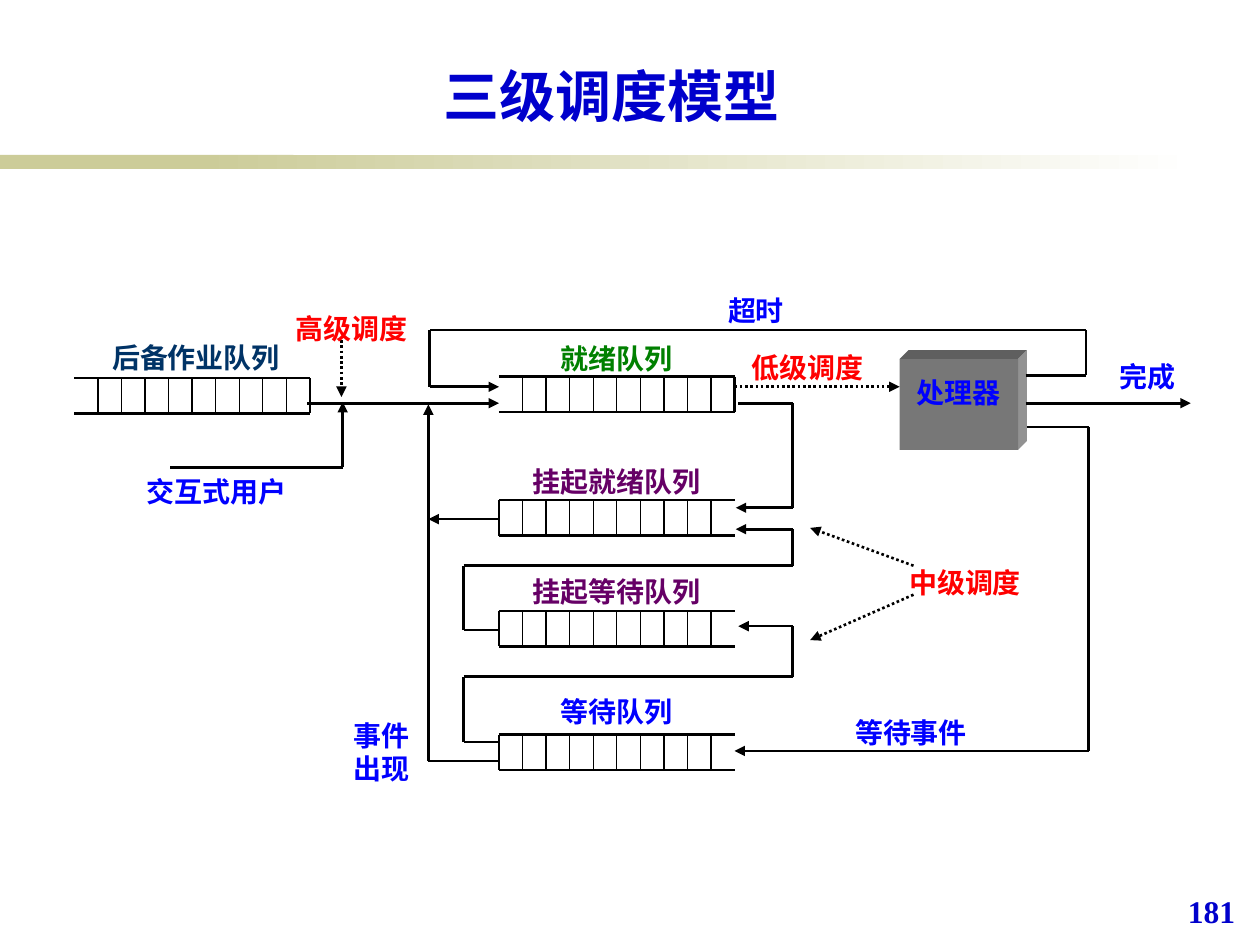
from pptx import Presentation
from pptx.dml.color import RGBColor
from pptx.enum.dml import MSO_LINE
from pptx.enum.shapes import MSO_CONNECTOR, MSO_SHAPE
from pptx.enum.text import MSO_ANCHOR, PP_ALIGN
from pptx.oxml.ns import qn
from pptx.util import Inches, Pt
from lxml import etree

RECT = MSO_SHAPE.RECTANGLE
STRAIGHT = MSO_CONNECTOR.STRAIGHT
DOTS = MSO_LINE.ROUND_DOT
CENTER = PP_ALIGN.CENTER
LEFT = PP_ALIGN.LEFT
TOP = MSO_ANCHOR.TOP
BOTTOM = MSO_ANCHOR.BOTTOM

BLACK = RGBColor(0, 0, 0)
WHITE = RGBColor(255, 255, 255)
KHAKI = RGBColor(0xCC, 0xCC, 0x99)
NAVY = RGBColor(0, 0, 0xCC)
BLUE = RGBColor(0, 0, 0xFF)
TEAL = RGBColor(0, 0x33, 0x66)
RED = RGBColor(0xFF, 0, 0)
GREEN = RGBColor(0, 0x80, 0)
PURPLE = RGBColor(0x66, 0, 0x66)
GRAY = RGBColor(0x77, 0x77, 0x77)
DARK = RGBColor(0x5F, 0x5F, 0x5F)
LIGHT = RGBColor(0x92, 0x92, 0x92)


class Sketch:
    font = "Noto Sans CJK SC"
    size = 16
    thick = 1.5
    thin = 0.75

    def __init__(self, slide):
        self.slide = slide
        self.shapes = slide.shapes

    def letter(self, frame, text, color, size=None, font=None, align=CENTER):
        frame.text = text
        for para in frame.paragraphs:
            para.alignment = align
            style = para.font
            style.name = font or self.font
            style.size = Pt(size or self.size)
            style.bold = True
            style.color.rgb = color
            for run in para.runs:
                east = etree.SubElement(run.font._element, qn("a:ea"))
                east.set("typeface", style.name)

    def title(self, text, x, y, w, h):
        box = self.shapes.title
        box.left, box.top, box.width, box.height = map(Inches, (x, y, w, h))
        box.text_frame.vertical_anchor = BOTTOM
        self.letter(box.text_frame, text, NAVY, 32, "Noto Sans CJK JP")

    def label(self, text, x, y, w, h, color):
        box = self.shapes.add_textbox(*map(Inches, (x, y, w, h)))
        frame = box.text_frame
        frame.word_wrap = True
        frame.margin_left = frame.margin_right = 0
        frame.margin_top = frame.margin_bottom = 0
        self.letter(frame, text, color)

    def number(self, text, x, y, w, h):
        box = self.shapes.add_textbox(*map(Inches, (x, y, w, h)))
        self.letter(box.text_frame, text, NAVY, 18, "Times New Roman", LEFT)

    def plain(self, shape, color):
        shape.shadow.inherit = False
        shape.fill.solid()
        shape.fill.fore_color.rgb = color
        shape.line.fill.background()

    def rect(self, x, y, w, h, color):
        box = self.shapes.add_shape(RECT, *map(Inches, (x, y, w, h)))
        self.plain(box, color)
        return box

    def fade(self, x, y, w, h, start, end):
        fill = self.rect(x, y, w, h, start).fill
        fill.gradient()
        fill.gradient_angle = 0
        for stop, color in zip(fill.gradient_stops, (start, end)):
            stop.color.rgb = color

    def face(self, points, color):
        spots = [(Inches(x), Inches(y)) for x, y in points]
        form = self.shapes.build_freeform(*spots[0])
        form.add_line_segments(spots[1:])
        self.plain(form.convert_to_shape(), color)

    def block(self, text, x, y, w, h, deep):
        right, low = x + w, y + h
        back, high = right + deep, y - deep
        self.face([(x, y), (x + deep, high), (back, high), (right, y)], DARK)
        self.face([(right, y), (back, high), (back, low - deep),
                   (right, low)], LIGHT)
        frame = self.rect(x, y, w, h, GRAY).text_frame
        frame.margin_left = frame.margin_right = 0
        frame.margin_top = Inches(0.13)
        frame.vertical_anchor = TOP
        self.letter(frame, text, BLUE)

    def line(self, start, end, width=thick, arrow=False, dots=False):
        link = self.shapes.add_connector(
            STRAIGHT, *map(Inches, (*start, *end)))
        link.line.color.rgb = BLACK
        link.line.width = Pt(width)
        if dots:
            link.line.dash_style = DOTS
        if arrow:
            ln = link._element.spPr.find(qn("a:ln"))
            tip = etree.SubElement(ln, qn("a:tailEnd"))
            tip.set("type", "triangle")
        etree.SubElement(link._element.spPr, qn("a:effectLst"))

    def route(self, *points, arrow=True, dots=False):
        last = len(points) - 2
        for i, (start, end) in enumerate(zip(points, points[1:])):
            self.line(start, end, arrow=arrow and i == last, dots=dots)

    def queue(self, x, y, shut):
        wide, high, cells = 1.87, 0.28, 10
        for row in (y, y + high):
            self.line((x, row), (x + wide, row))
        self.line((shut, y), (shut, y + high))
        for i in range(1, cells):
            col = x + i * wide / cells
            self.line((col, y), (col, y + high), self.thin)


def main():
    deck = Presentation()
    deck.slide_width, deck.slide_height = Inches(10), Inches(7.5)
    art = Sketch(deck.slides.add_slide(deck.slide_layouts[5]))

    # Heading, band and page number
    art.rect(0, 1.23, 2.33, 0.11, KHAKI)
    art.fade(1.58, 1.23, 7.92, 0.11, KHAKI, WHITE)
    art.title("三级调度模型", 0.83, 0.44, 8.05, 0.63)
    art.number("181", 9.33, 7.03, 0.64, 0.5)

    # Queues: left, top, closed side
    left, right = 3.96, 5.83
    art.queue(0.59, 3, 2.46)
    art.queue(left, 2.99, right)
    for y in (3.97, 4.85, 5.83):
        art.queue(left, y, left)

    # Processor
    art.block("处理器", 7.14, 2.85, 0.94, 0.72, 0.07)

    # Jobs and users entering the ready queue
    art.route((2.44, 3.2), (left, 3.2))
    art.route((1.35, 3.71), (2.72, 3.71), (2.72, 3.19))

    # Processor exits: timeout, done, wait
    art.route((8.14, 2.98), (8.62, 2.98), (8.62, 2.62), (3.41, 2.62),
              (3.41, 3.07), (left, 3.07))
    art.route((8.14, 3.2), (9.45, 3.2))
    art.route((8.15, 3.39), (8.64, 3.39), (8.64, 5.96), (right, 5.96))

    # Moves between the queues
    art.route((5.86, 3.2), (6.29, 3.2), (6.29, 4.03), (5.84, 4.03))
    art.route((left, 5), (3.68, 5), (3.68, 4.49), (6.29, 4.49),
              (6.29, 4.2), (5.84, 4.2))
    art.route((left, 5.89), (3.68, 5.89), (3.68, 5.37), (6.29, 5.37),
              (6.29, 4.97), (5.86, 4.97))
    art.route((left, 6.04), (3.4, 6.04), (3.4, 3.21))
    art.route((left, 4.12), (3.4, 4.12))

    # Scheduling levels
    for start, end in [((2.71, 2.7), (2.71, 3.15)),
                       ((right, 3.07), (7.14, 3.07)),
                       ((7.25, 4.49), (6.43, 4.19)),
                       ((7.25, 4.72), (6.43, 5.08))]:
        art.route(start, end, dots=True)

    # Labels
    for text, x, y, w, h, color in [
            ("后备作业队列", 0.66, 2.7, 1.79, 0.3, TEAL),
            ("就绪队列", left, 2.71, 1.87, 0.29, GREEN),
            ("挂起就绪队列", left, 3.69, 1.87, 0.29, PURPLE),
            ("挂起等待队列", left, 4.56, 1.87, 0.29, PURPLE),
            ("等待队列", left, 5.51, 1.87, 0.29, BLUE),
            ("高级调度", 2.31, 2.47, 0.96, 0.32, RED),
            ("低级调度", 5.91, 2.78, 1, 0.21, RED),
            ("中级调度", 7.11, 4.49, 1.1, 0.3, RED),
            ("超时", 4.43, 2.33, 3.14, 0.29, BLUE),
            ("完成", 8.76, 2.85, 0.69, 0.35, BLUE),
            ("等待事件", 6.39, 5.68, 1.68, 0.29, BLUE),
            ("交互式用户", 1.14, 3.77, 1.16, 0.3, BLUE),
            ("事件\n出现", 2.65, 5.7, 0.75, 0.57, BLUE)]:
        art.label(text, x, y, w, h, color)

    deck.save("out.pptx")


if __name__ == "__main__":
    main()
